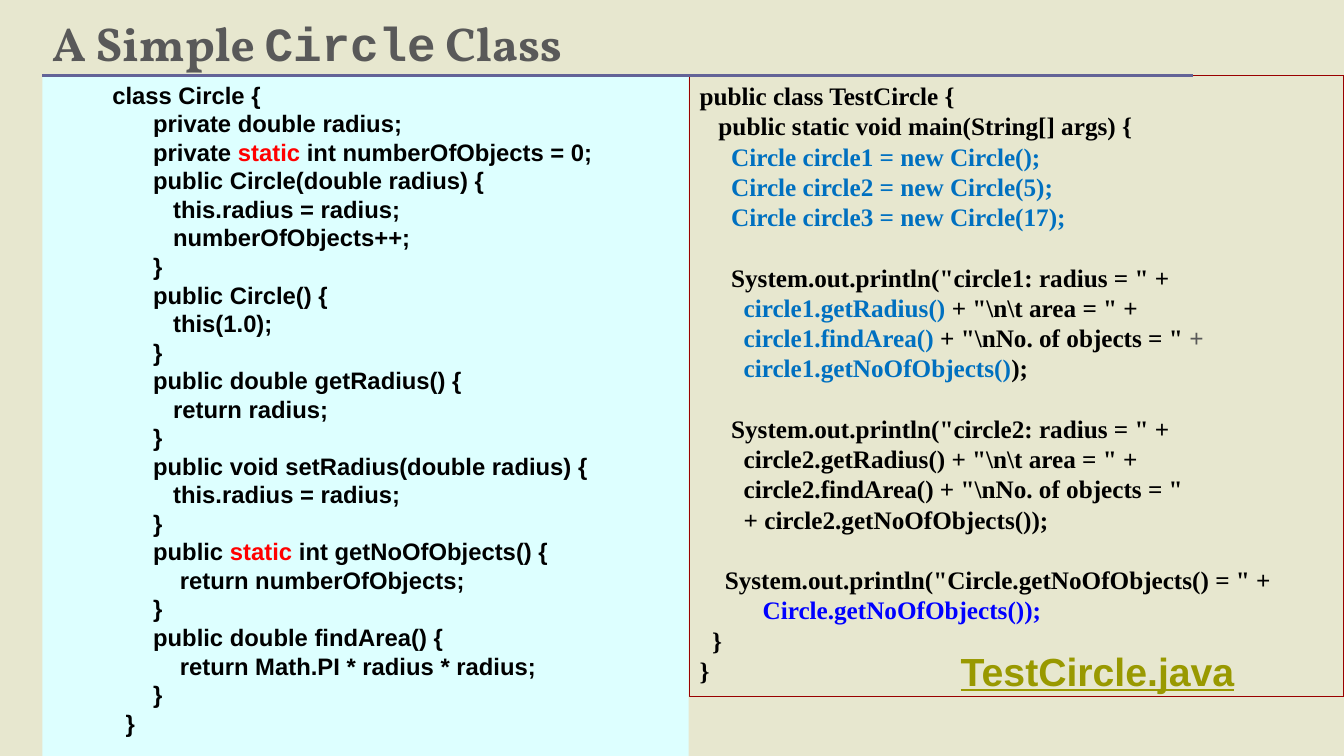
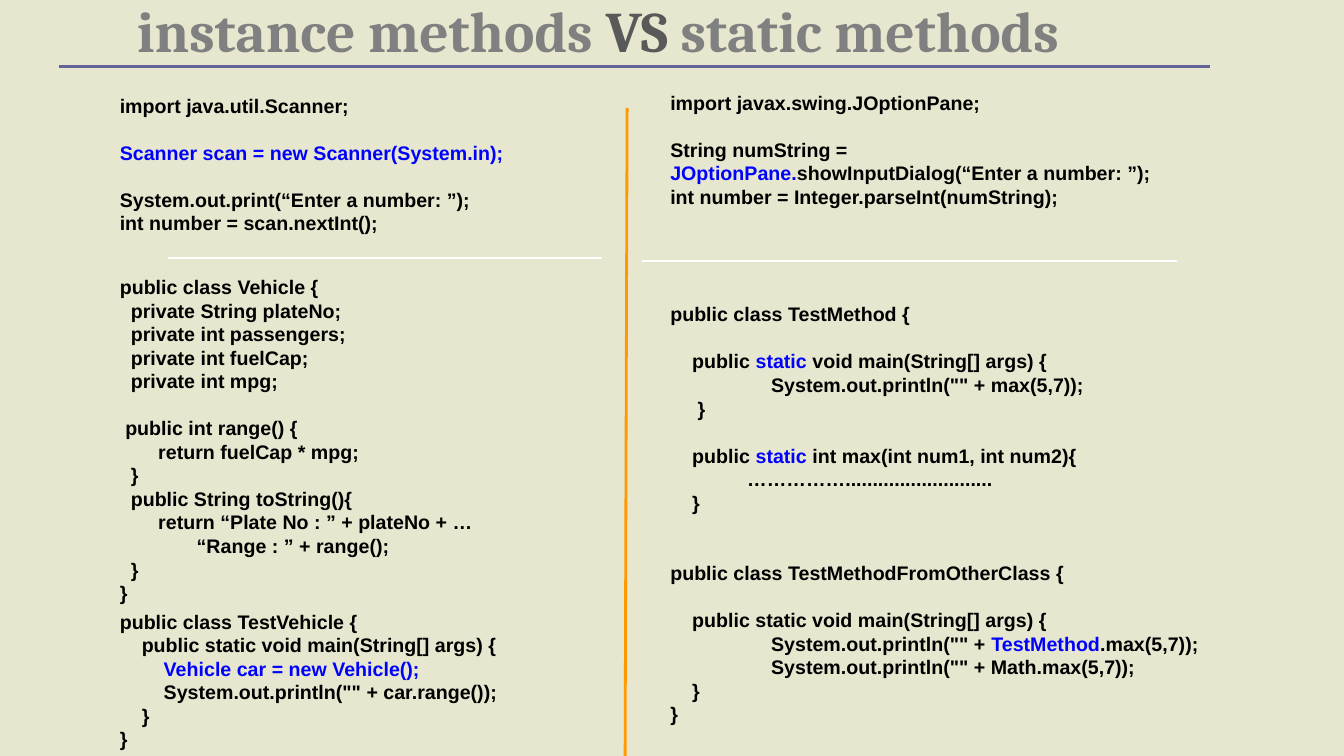
from lxml import etree
from pptx import Presentation, util as u
from pptx.dml.color import RGBColor
from pptx.enum import shapes, text
from pptx.oxml.ns import qn

COLORS = {
    "background": "E7E7CF", "title": "595959", "soft": "808080", "rule": "636397",
    "panel": "DDFFFF", "frame": "990000", "black": "000000", "red": "FF0000",
    "sky": "0070C0", "blue": "0000FF", "olive": "999900", "orange": "FF9900",
    "white": "FFFFFF",
}
FONTS = {"arial": "Arial", "times": "Times New Roman", "courier": "Courier New",
         "vollkorn": "Vollkorn", "cambria": "Cambria"}
SPACE_WIDTH = {"arial": 0.28, "times": 0.25}  # in ems
RULE_LENGTH = 11.41


def write_text(slide, area, content, font="arial", size=14, color="black", leading=None,
               anchor=text.MSO_ANCHOR.TOP, underline=False, fill=None, line=None):
    """Put lines of text in a box.

    Leading spaces and ">" (one inch) become a left margin, an empty line becomes
    space before the next one, and |key:words| sets words in another colour or font.
    """
    area = [u.Inches(length) for length in area]
    if fill or line:
        shape = slide.shapes.add_shape(shapes.MSO_SHAPE.RECTANGLE, *area)
        shape.shadow.inherit = False
    else:
        shape = slide.shapes.add_textbox(*area)
    if fill:
        shape.fill.solid()
        shape.fill.fore_color.rgb = RGBColor.from_string(COLORS[fill])
    else:
        shape.fill.background()
    if line:
        shape.line.color.rgb = RGBColor.from_string(COLORS[line])
        shape.line.width = u.Pt(0.75)
    else:
        shape.line.fill.background()
    frame = shape.text_frame
    frame.word_wrap = True
    frame.vertical_anchor = anchor
    line_height = size * 1.2
    paragraph, gap = None, 0
    for row in content.strip("\n").split("\n"):
        if not row:
            gap += line_height
            continue
        paragraph = frame.add_paragraph() if paragraph else frame.paragraphs[0]
        paragraph.alignment = text.PP_ALIGN.LEFT
        paragraph.line_spacing = leading or u.Pt(line_height)
        paragraph.space_before = u.Pt(gap)
        gap = 0
        words = row.lstrip("> ")
        prefix = row[:len(row) - len(words)]
        margin = prefix.count(">") + prefix.count(" ") * SPACE_WIDTH.get(font, 0) * size / 72
        properties = paragraph._p.get_or_add_pPr()
        properties.set("marL", str(u.Inches(margin)))
        properties.set("indent", "0")
        for index, piece in enumerate(words.split("|")):
            key = ""
            if index % 2:
                key, piece = piece.split(":", 1)
            if not piece:
                continue
            run = paragraph.add_run()
            run.text = piece
            run.font.name = FONTS[key if key in FONTS else font]
            run.font.size = u.Pt(size)
            run.font.bold = True
            run.font.underline = underline
            run.font.color.rgb = RGBColor.from_string(COLORS[key if key in COLORS else color])


def add_line(slide, start, end, color, width):
    connector = slide.shapes.add_connector(
        shapes.MSO_CONNECTOR.STRAIGHT, *[u.Inches(length) for length in start + end])
    connector.line.color.rgb = RGBColor.from_string(COLORS[color])
    connector.line.width = u.Pt(width)
    etree.SubElement(connector._element.spPr, qn("a:effectLst"))


presentation = Presentation()
presentation.slide_width = u.Inches(13.33)
presentation.slide_height = u.Inches(7.5)

slides = []
for title, area, font, size, color in (
    ("A Simple |courier:Circle| Class", (0.42, 0.08, 8.5, 0.67), "vollkorn", 34, "title"),
    ("instance methods |title:VS |static methods", (1.26, 0.03, 10.74, 0.65),
     "cambria", 41, "soft"),
):
    slide = presentation.slides.add_slide(presentation.slide_layouts[6])
    slide.background.fill.solid()
    slide.background.fill.fore_color.rgb = RGBColor.from_string(COLORS["background"])
    write_text(slide, area, title, font=font, size=size, color=color, leading=0.8,
               anchor=text.MSO_ANCHOR.BOTTOM)
    slides.append(slide)
circle_slide, methods_slide = slides

# Slide 1: the class and its test program
write_text(circle_slide, (9.43, 6.37, 3.44, 0.57), "TestCircle.java", size=28,
           color="olive", underline=True)
write_text(circle_slide, (0.42, 0.75, 6.41, 6.75), """
         class Circle {
>private double radius;
>private |red:static| int numberOfObjects = 0;
>public Circle(double radius) {
>   this.radius = radius;
>   numberOfObjects++;
>}
>public Circle() {
>   this(1.0);
>}
>public double getRadius() {
>   return radius;
>}
>public void setRadius(double radius) {
>   this.radius = radius;
>}
>public |red:static| int getNoOfObjects() {
>    return numberOfObjects;
>}
>public double findArea() {
>    return Math.PI * radius * radius;
>}
           }
""", size=17, fill="panel")
write_text(circle_slide, (6.84, 0.75, 6.49, 6.16), r"""
public class TestCircle {
   public static void main(String[] args) {
     |sky:Circle circle1 = new Circle();|
     |sky:Circle circle2 = new Circle(5);|
     |sky:Circle circle3 = new Circle(17);|

     System.out.println("circle1: radius = " +
       |sky:circle1.getRadius() |+ "\n\t area = " +
       |sky:circle1.findArea() |+ "\nNo. of objects = " |title:+|
       |sky:circle1.getNoOfObjects()|);

     System.out.println("circle2: radius = " +
       circle2.getRadius() + "\n\t area = " +
       circle2.findArea() + "\nNo. of objects = "
       + circle2.getNoOfObjects());

    System.out.println("Circle.getNoOfObjects() = " +
          |blue:Circle.getNoOfObjects());|
  }
}
""", font="times", size=18, line="frame")

# Slide 2: instance methods on the left, static methods on the right
left, right = 1.09, 6.55
add_line(methods_slide, (6.22, 1.07), (6.2, 7.5), "orange", 2)
add_line(methods_slide, (1.67, 2.56), (5.97, 2.56), "white", 2)
add_line(methods_slide, (6.37, 2.59), (11.67, 2.59), "white", 2)
for area, code in (
    ((left, 0.88, 4.9, 1.51), """
import java.util.Scanner;

|blue:Scanner scan = new Scanner(System.in);|

System.out.print(“Enter a number: ”);
int number = scan.nextInt();
"""),
    ((right, 0.85, 6.33, 1.28), """
import javax.swing.JOptionPane;

String numString =
|blue:JOptionPane.|showInputDialog(“Enter a number: ”);
int number = Integer.parseInt(numString);
"""),
    ((right, 2.95, 6.33, 4.34), """
public class TestMethod {

    public |blue:static| void main(String[] args) {
>System.out.println("" + max(5,7));
     }

    public |blue:static |int max(int num1, int num2){
              ……………...........................
    }


public class TestMethodFromOtherClass {

    public static void main(String[] args) {
>System.out.println("" + |blue:TestMethod|.max(5,7));
>System.out.println("" + Math.max(5,7));
    }
}
"""),
    ((left, 2.68, 4.9, 3.4), """
public class Vehicle {
  private String plateNo;
  private int passengers;
  private int fuelCap;
  private int mpg;

 public int range() {
       return fuelCap * mpg;
  }
  public String toString(){
       return “Plate No : ” + plateNo + …
              “Range : ” + range();
  }
}
"""),
    ((left, 6, 4.9, 1.5), """
public class TestVehicle {
    public static void main(String[] args) {
        |blue:Vehicle car = new Vehicle();|
        System.out.println("" + car.range());
    }
}
"""),
):
    write_text(methods_slide, area, code)

for slide, x, y in ((circle_slide, 0.42, 0.75), (methods_slide, 0.59, 0.66)):
    add_line(slide, (x, y), (x + RULE_LENGTH, y), "rule", 2.5)

presentation.save("out.pptx")
